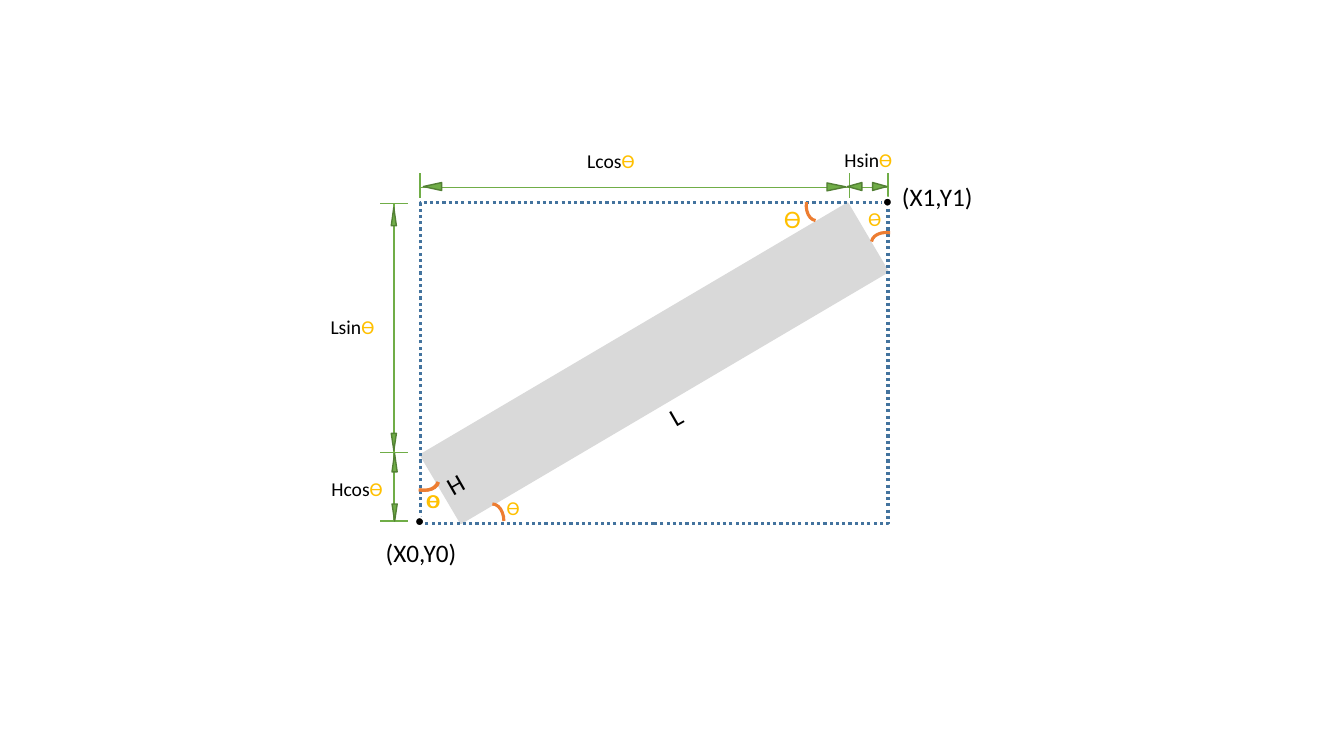
from itertools import pairwise

from pptx import Presentation
from pptx.dml.color import RGBColor
from pptx.enum.dml import MSO_LINE
from pptx.enum.shapes import MSO_CONNECTOR, MSO_SHAPE
from pptx.enum.text import MSO_AUTO_SIZE
from pptx.oxml.ns import qn
from pptx.util import Cm, Pt

RECTANGLE = MSO_SHAPE.RECTANGLE
ARC = MSO_SHAPE.ARC
TRIANGLE = MSO_SHAPE.ISOSCELES_TRIANGLE
OVAL = MSO_SHAPE.OVAL
STRAIGHT = MSO_CONNECTOR.STRAIGHT
DOTTED = MSO_LINE.ROUND_DOT
FIT_SHAPE = MSO_AUTO_SIZE.SHAPE_TO_FIT_TEXT

BLACK = "000000"
WHITE = "FFFFFF"
GREY = "D9D9D9"
BLUE = "43739E"
ORANGE = "ED7D31"
GOLD = "FFC000"
GREEN = "70AD47"
DARK_GREEN = "538035"
THETA = "Ɵ"


def colour(value):
    return RGBColor.from_string(value)


def add_figure(page, kind, box, line, width, fill=None, rotation=0):
    shape = page.shapes.add_shape(kind, *map(Cm, box))
    shape.shadow.inherit = False
    shape.rotation = rotation
    if fill:
        shape.fill.solid()
        shape.fill.fore_color.rgb = colour(fill)
    else:
        shape.fill.background()
    shape.line.color.rgb = colour(line)
    shape.line.width = Pt(width)
    return shape


def add_line(page, *ends):
    line = page.shapes.add_connector(STRAIGHT, *map(Cm, ends))
    line.line.color.rgb = colour(GREEN)
    line.line.width = Pt(1)
    properties = line._element.spPr
    properties.append(properties.makeelement(qn("a:effectLst"), {}))


def add_label(page, box, spans, size, rotation=0):
    label = page.shapes.add_textbox(*map(Cm, box))
    label.rotation = rotation
    frame = label.text_frame
    frame.word_wrap = False
    frame.auto_size = FIT_SHAPE
    para = frame.paragraphs[0]
    para.font.size = Pt(size)
    para.font.name = "Calibri"
    for text, tint in spans:
        span = para.add_run()
        span.text = text
        span.font.color.rgb = colour(tint)


def add_angles(page):
    for left, top, rotation in (
        (12.12, 12.7, 0), (10.32, 11.63, 102), (10.34, 11.63, 102),
        (20.32, 4.7, 187.9), (22.1, 5.72, 278.6),
    ):
        add_figure(page, ARC, (left, top, 0.58, 0.86), ORANGE, 2.25, rotation=rotation)
    for left, top, rotation in (
        (12.52, 12.37, 0), (10.49, 12.19, 0), (10.52, 12.19, 0), (21.62, 5.16, 176.7),
    ):
        add_label(page, (left, top, 0.84, 0.86), [(THETA, GOLD)], 14, rotation)
    add_label(page, (19.51, 5, 0.94, 1.02), [(THETA, GOLD)], 18)


def add_dimensions(page):
    rows = (5.13, 11.4, 13.13)
    columns = (10.58, 21.41, 22.38)
    for row in rows:
        add_line(page, 9.58, row, 10.29, row)
    for column in columns:
        add_line(page, column, 4.98, column, 4.37)
    for start, end in pairwise(rows):
        add_line(page, 9.93, end, 9.93, start)
    for start, end in pairwise(columns):
        add_line(page, start, 4.72, end, 4.72)

    for left, top, width, height, rotation in (
        (9.86, 5.23, 0.13, 0.46, 0), (9.88, 11.43, 0.13, 0.46, 0),
        (9.86, 10.92, 0.13, 0.43, 180), (9.88, 12.7, 0.13, 0.43, 180),
        (10.8, 4.47, 0.2, 0.46, 270), (21.44, 4.52, 0.2, 0.36, 270),
        (20.98, 4.47, 0.2, 0.48, 90), (22.07, 4.52, 0.2, 0.36, 90),
    ):
        add_figure(page, TRIANGLE, (left, top, width, height),
                   DARK_GREEN, 1, GREEN, rotation)

    for name, left, top, width in (
        ("Hcos", 8.1, 11.89, 1.83), ("Lsin", 8.08, 7.8, 1.63),
        ("Lcos", 14.55, 3.63, 1.73), ("Hsin", 21.03, 3.61, 1.73),
    ):
        add_label(page, (left, top, width, 1.63), [(name, BLACK), (THETA, GOLD)], 14)


def main():
    deck = Presentation()
    deck.slide_width = Cm(33.87)
    deck.slide_height = Cm(19.05)
    page = deck.slides.add_slide(deck.slide_layouts[6])

    add_figure(page, RECTANGLE, (10.24, 8.15, 12.5, 2.01), GREY, 1, GREY, 329.5)
    bounds = add_figure(page, RECTANGLE, (10.59, 5.11, 11.79, 8.08), BLUE, 2.25)
    bounds.line.dash_style = DOTTED

    add_angles(page)
    add_dimensions(page)
    for text, left, top, width, rotation in (
        ("L", 16.64, 9.98, 0.79, 330.1), ("H", 11.02, 11.68, 0.91, 330.1),
        ("(X0,Y0)", 9.47, 13.41, 2.31, 0), ("(X1,Y1)", 22.48, 4.45, 2.31, 0),
    ):
        add_label(page, (left, top, width, 1.02), [(text, BLACK)], 18, rotation)
    for left, top in ((10.46, 13.03), (22.25, 4.98)):
        add_figure(page, OVAL, (left, top, 0.23, 0.23), WHITE, 1.5, BLACK)

    deck.save("out.pptx")


if __name__ == "__main__":
    main()
